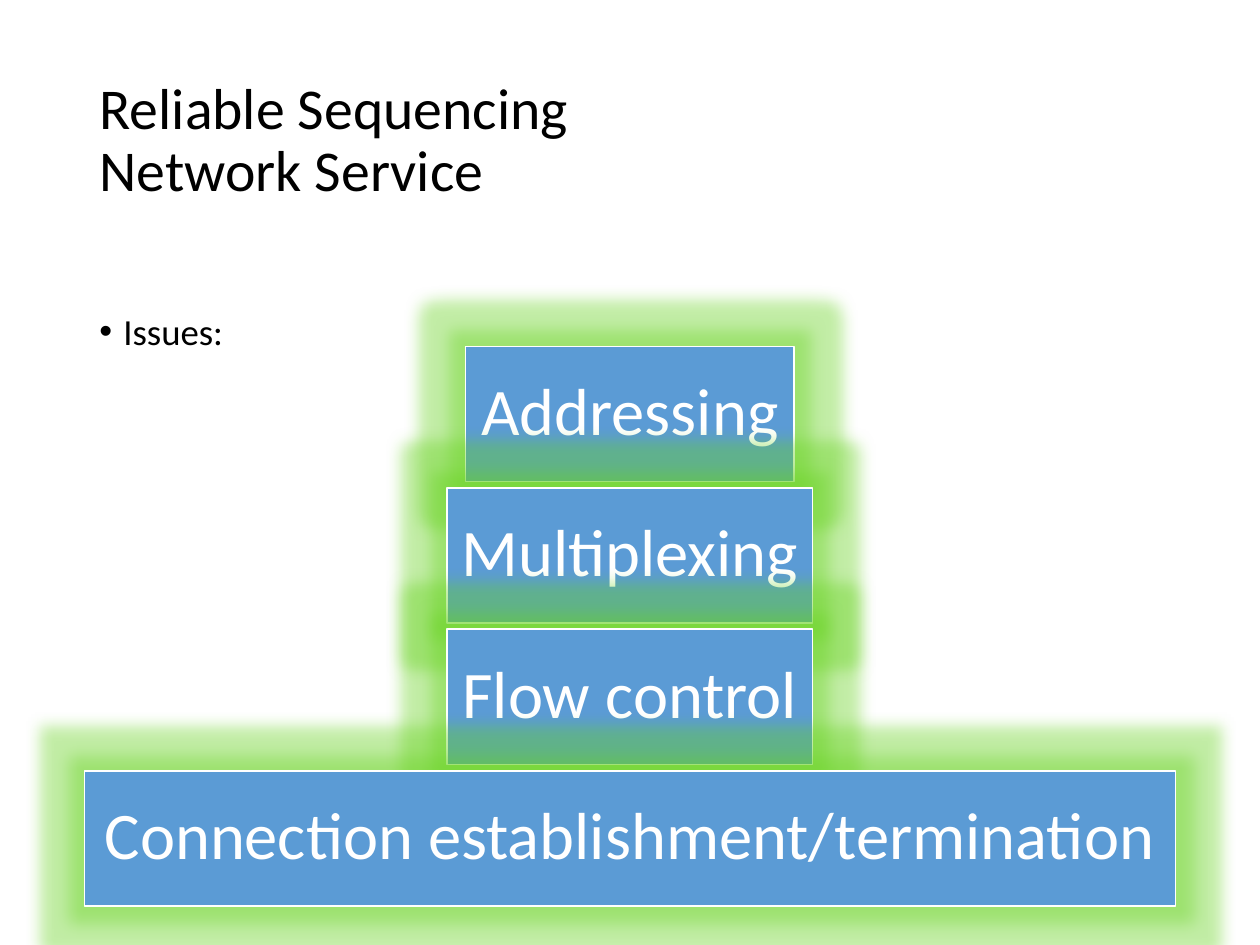
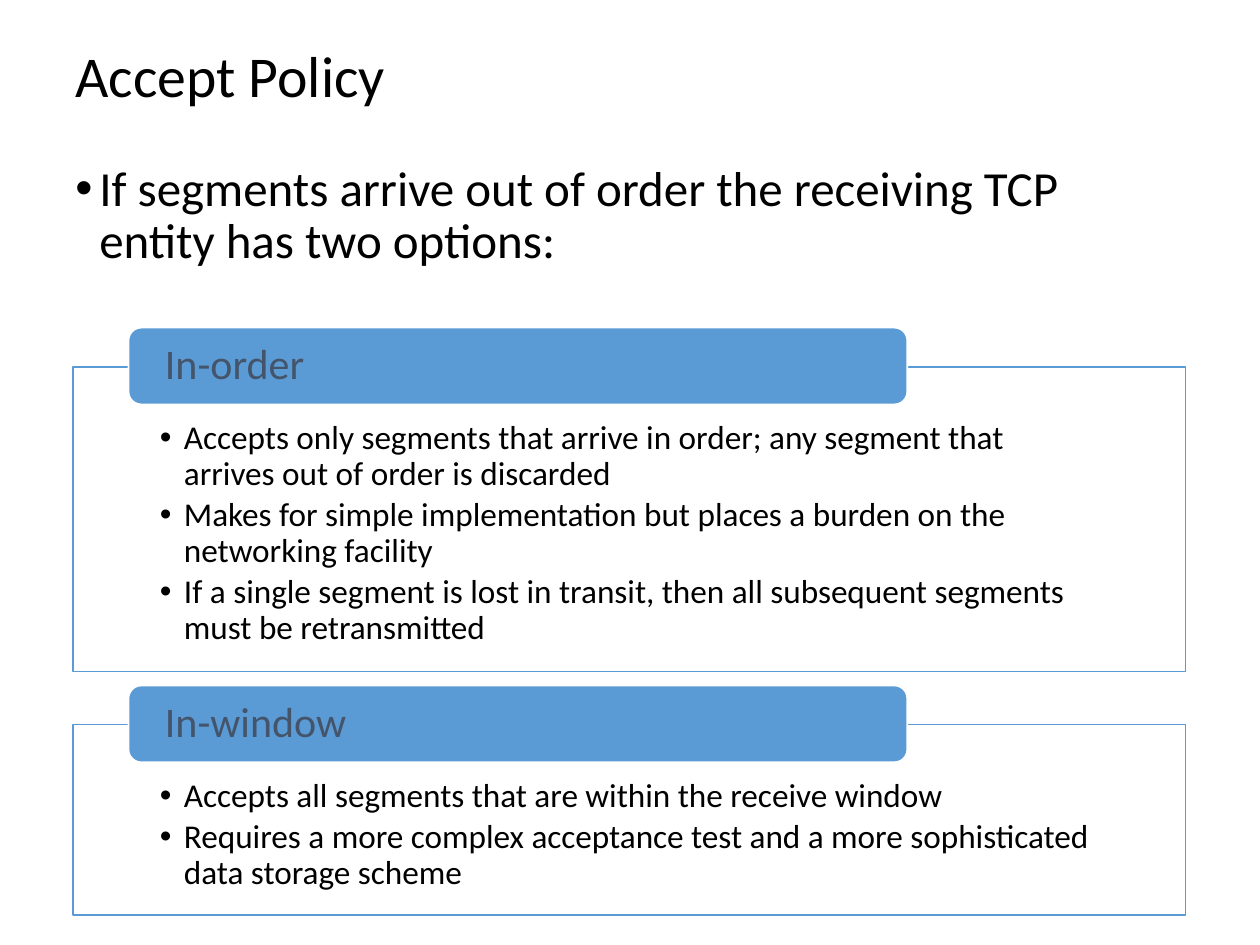
from dataclasses import dataclass

from lxml.etree import SubElement
from pptx import Presentation
from pptx.dml.color import RGBColor
from pptx.enum.shapes import MSO_SHAPE
from pptx.enum.text import MSO_ANCHOR, MSO_AUTO_SIZE, PP_ALIGN
from pptx.oxml.ns import qn
from pptx.util import Inches, Pt

TITLE_ONLY = 5


@dataclass(frozen=True)
class Theme:
    """Colours, font and type sizes shared by the slides."""

    font: str = "Calibri"
    ink: str = "000000"
    paper: str = "FFFFFF"
    accent: str = "5B9BD5"
    slate: str = "44546A"
    glow: str = "68D321"
    title: int = 33
    lead: int = 28
    issues: int = 21
    layer: int = 38
    label: int = 24
    detail: int = 19


THEME = Theme()


@dataclass(frozen=True)
class Box:
    """A region in inches."""

    left: float
    top: float
    width: float
    height: float

    def emu(self):
        """Return the region as four lengths."""
        return [Inches(n) for n in (self.left, self.top, self.width, self.height)]


def write(shape, *paragraphs, size, color=THEME.ink, align=PP_ALIGN.LEFT,
          anchor=MSO_ANCHOR.TOP, insets=(0.1, 0.05, 0.1, 0.05),
          bullet=False, after=0):
    """Fill a shape with formatted paragraphs."""
    frame = shape.text_frame
    frame.word_wrap = True
    frame.auto_size = MSO_AUTO_SIZE.NONE
    frame.vertical_anchor = anchor
    (frame.margin_left, frame.margin_top,
     frame.margin_right, frame.margin_bottom) = [Inches(n) for n in insets]
    frame.text = "\n".join(paragraphs)
    for paragraph in frame.paragraphs:
        paragraph.alignment = align
        paragraph.line_spacing = 0.9
        paragraph.space_before = Pt(0)
        paragraph.space_after = Pt(after)
        if bullet:
            properties = paragraph._p.get_or_add_pPr()
            properties.set("marL", str(Inches(0.19)))
            properties.set("indent", str(-Inches(0.19)))
            SubElement(properties, qn("a:buFont"), typeface="Arial")
            SubElement(properties, qn("a:buChar"), char="•")
        for run in paragraph.runs:
            run.font.name = THEME.font
            run.font.size = Pt(size)
            run.font.color.rgb = RGBColor.from_string(color)


def add_block(slide, box, fill, line, preset=MSO_SHAPE.RECTANGLE):
    """Draw a filled, outlined shape without a shadow."""
    block = slide.shapes.add_shape(preset, *box.emu())
    block.shadow.inherit = False
    block.fill.solid()
    block.fill.fore_color.rgb = RGBColor.from_string(fill)
    block.line.color.rgb = RGBColor.from_string(line)
    block.line.width = Pt(1)
    return block


def add_glow(block, radius):
    """Surround a shape with a translucent glow."""
    effects = block._element.spPr.find(qn("a:effectLst"))
    glow = SubElement(effects, qn("a:glow"), rad=str(Inches(radius)))
    color = SubElement(glow, qn("a:srgbClr"), val=THEME.glow)
    SubElement(color, qn("a:alpha"), val="40000")


def add_titled_slide(deck, title, box):
    """Add a slide and set its title."""
    slide = deck.slides.add_slide(deck.slide_layouts[TITLE_ONLY])
    heading = slide.shapes.title
    heading.left, heading.top, heading.width, heading.height = box.emu()
    write(heading, title, size=THEME.title, anchor=MSO_ANCHOR.MIDDLE)
    return slide


def add_lead(slide, text, box, size, top_inset=0.05):
    """Add the bulleted sentence below a title."""
    lead = slide.shapes.add_textbox(*box.emu())
    write(lead, text, size=size, bullet=True, insets=(0.1, top_inset, 0.1, 0.05))


def add_issue_tower(slide, issues, box, gap):
    """Stack centred glowing layers, each with its own width."""
    height = (box.height + gap) / len(issues) - gap
    for row, (issue, width) in enumerate(issues):
        layer_box = Box(box.left + (box.width - width) / 2,
                        box.top + row * (height + gap), width, height)
        layer = add_block(slide, layer_box, THEME.accent, THEME.paper)
        add_glow(layer, 0.25)
        write(layer, issue, size=THEME.layer, color=THEME.paper,
              align=PP_ALIGN.CENTER, anchor=MSO_ANCHOR.MIDDLE, insets=(0.11,) * 4)


def add_policy(slide, policy, details, box):
    """Draw a panel of details with its label across the top edge."""
    panel = add_block(slide, box, THEME.paper, THEME.accent)
    fill_color = panel._element.spPr.find(qn("a:solidFill"))[0]
    SubElement(fill_color, qn("a:alpha"), val="90000")
    write(panel, *details, size=THEME.detail, bullet=True, after=3,
          insets=(0.69, 0.43, 0.69, 0.15))
    label_box = Box(box.left + 0.44, box.top - 0.31, box.width * 0.7, 0.61)
    label = add_block(slide, label_box, THEME.accent, THEME.paper,
                      MSO_SHAPE.ROUNDED_RECTANGLE)
    write(label, policy, size=THEME.label, color=THEME.slate,
          anchor=MSO_ANCHOR.MIDDLE, insets=(0.26, 0, 0.26, 0))


def build_sequencing_slide(deck):
    """Build the slide on issues of a reliable network service."""
    slide = add_titled_slide(deck, "Reliable Sequencing \vNetwork Service",
                             Box(0.69, 0.4, 8.62, 1.45))
    add_lead(slide, "Issues:", Box(0.69, 2, 8.62, 4.76), THEME.issues, top_inset=0.49)
    issues = [
        ("Addressing", 2.61),
        ("Multiplexing", 2.9),
        ("Flow control", 2.9),
        ("Connection establishment/termination", 8.66),
    ]
    add_issue_tower(slide, issues, Box(0.67, 2.75, 8.66, 4.44), gap=0.05)


def build_accept_policy_slide(deck):
    """Build the slide on the two accept policies."""
    slide = add_titled_slide(deck, "Accept Policy", Box(0.5, 0, 9, 1.25))
    add_lead(slide, "If segments arrive out of order the receiving TCP entity "
             "has two options:", Box(0.5, 1.25, 9, 5.45), THEME.lead)
    add_policy(slide, "In-order", [
        "Accepts only segments that arrive in order; any segment that arrives "
        "out of order is discarded",
        "Makes for simple implementation but places a burden on the networking facility",
        "If a single segment is lost in transit, then all subsequent segments "
        "must be retransmitted",
    ], Box(0.58, 2.91, 8.83, 2.42))
    add_policy(slide, "In-window", [
        "Accepts all segments that are within the receive window",
        "Requires a more complex acceptance test and a more sophisticated "
        "data storage scheme",
    ], Box(0.58, 5.75, 8.83, 1.51))


def main():
    """Build and save the presentation."""
    deck = Presentation()
    deck.slide_width, deck.slide_height = Inches(10), Inches(7.5)
    build_sequencing_slide(deck)
    build_accept_policy_slide(deck)
    deck.save("out.pptx")


if __name__ == "__main__":
    main()
